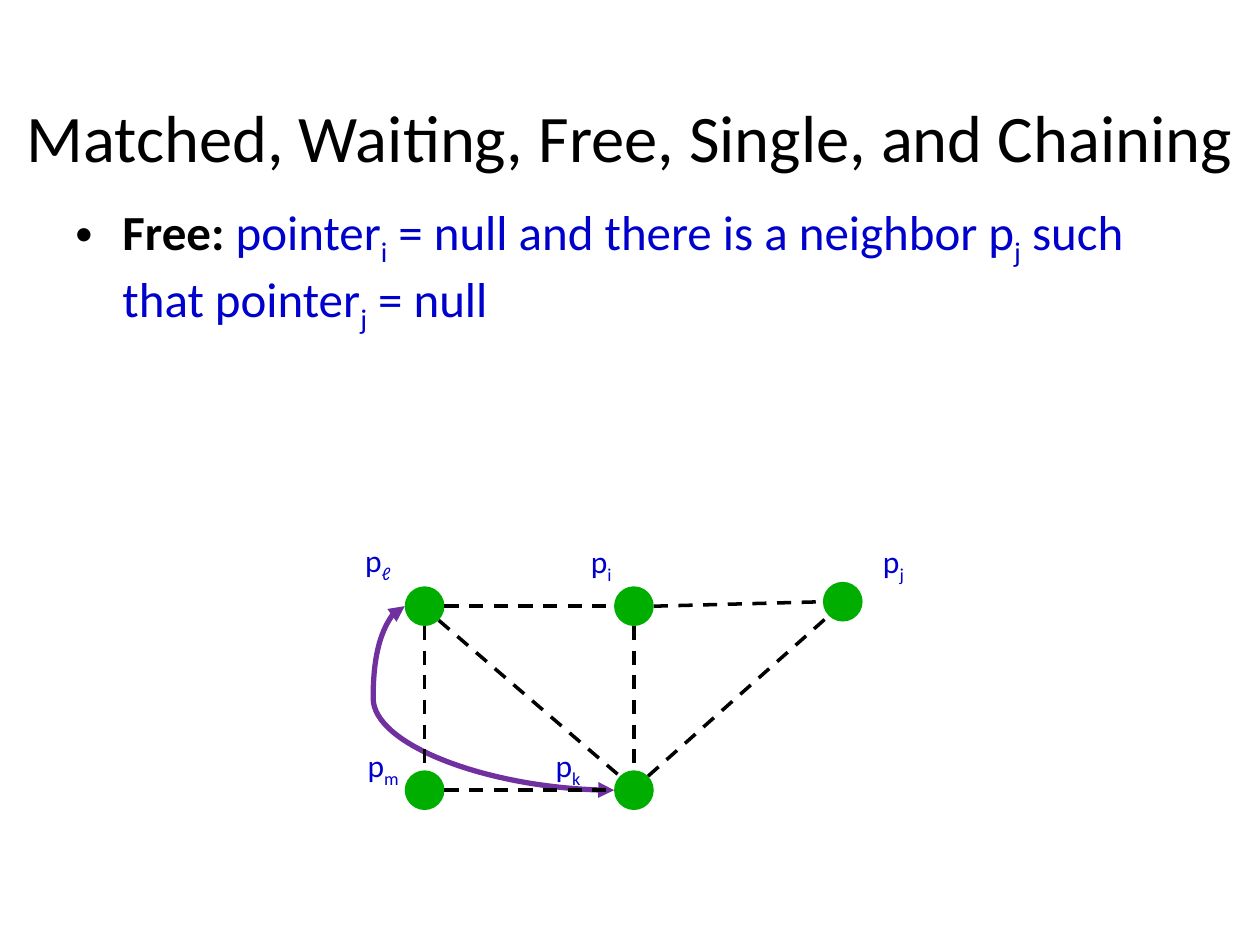
import pptx
import pptx.dml.color
import pptx.enum.dml
import pptx.enum.shapes
import pptx.enum.text
import pptx.oxml
import pptx.oxml.ns
import pptx.util
import lxml.etree

Cm = pptx.util.Cm
RGBColor = pptx.dml.color.RGBColor
Connector = pptx.enum.shapes.MSO_CONNECTOR
qn = pptx.oxml.ns.qn

BLACK = RGBColor(0x00, 0x00, 0x00)
BLUE = RGBColor(0x00, 0x00, 0xCC)
GREEN = RGBColor(0x00, 0xAE, 0x00)
PURPLE = RGBColor(0x70, 0x30, 0xA0)


class SlideBuilder:
    """Hold the style and the current slide, and add each kind of element."""

    font = "Calibri"
    radius = 0.4

    def __init__(self, slide):
        self.slide = slide

    def add_runs(self, paragraph, runs, size):
        for text, color, bold, subscript in runs:
            run = paragraph.add_run()
            run.text = text
            run.font.name = self.font
            run.font.size = pptx.util.Pt(size)
            run.font.bold = bold
            run.font.color.rgb = color
            if subscript:
                run._r.get_or_add_rPr().set("baseline", "-25000")

    def title(self, text, left, top, width, height, size):
        shape = self.slide.shapes.title
        shape.left, shape.top = Cm(left), Cm(top)
        shape.width, shape.height = Cm(width), Cm(height)
        frame = shape.text_frame
        frame.auto_size = pptx.enum.text.MSO_AUTO_SIZE.NONE
        frame.vertical_anchor = pptx.enum.text.MSO_ANCHOR.MIDDLE
        paragraph = frame.paragraphs[0]
        paragraph.alignment = pptx.enum.text.PP_ALIGN.CENTER
        self.add_runs(paragraph, [(text, BLACK, False, False)], size)

    def text(self, runs, left, top, width, height, size, wrap=False):
        shape = self.slide.shapes.add_textbox(Cm(left), Cm(top), Cm(width), Cm(height))
        frame = shape.text_frame
        frame.word_wrap = wrap
        sizes = pptx.enum.text.MSO_AUTO_SIZE
        frame.auto_size = sizes.NONE if wrap else sizes.SHAPE_TO_FIT_TEXT
        self.add_runs(frame.paragraphs[0], runs, size)
        return frame.paragraphs[0]

    def bullet(self, runs, left, top, width, height, size, indent):
        paragraph = self.text(runs, left, top, width, height, size, wrap=True)
        properties = paragraph._p.get_or_add_pPr()
        properties.set("marL", str(Cm(indent)))
        properties.set("indent", str(-Cm(indent)))
        lxml.etree.SubElement(properties, qn("a:buFont")).set("typeface", "Arial")
        lxml.etree.SubElement(properties, qn("a:buChar")).set("char", "•")

    def node(self, center):
        x, y = center
        shape = self.slide.shapes.add_shape(
            pptx.enum.shapes.MSO_SHAPE.OVAL, Cm(x - self.radius), Cm(y - self.radius),
            Cm(2 * self.radius), Cm(2 * self.radius))
        shape.shadow.inherit = False
        shape.fill.solid()
        shape.fill.fore_color.rgb = GREEN
        shape.line.fill.background()

    def connector(self, kind, start, end, color, width):
        shape = self.slide.shapes.add_connector(kind, *map(Cm, start + end))
        shape.line.color.rgb = color
        shape.line.width = pptx.util.Pt(width)
        lxml.etree.SubElement(shape._element.spPr, qn("a:effectLst"))
        return shape

    def edge(self, start, end):
        """Join the rims of two nodes at the nearest eighth of the circle."""
        deltas = [b - a for a, b in zip(start, end)]
        signs = [0 if abs(d) < self.radius else (1 if d > 0 else -1) for d in deltas]
        reach = self.radius * (0.71 if all(signs) else 1)
        rim_start = tuple(a + s * reach for a, s in zip(start, signs))
        rim_end = tuple(b - s * reach for b, s in zip(end, signs))
        shape = self.connector(Connector.STRAIGHT, rim_start, rim_end, BLACK, 2)
        shape.line.dash_style = pptx.enum.dml.MSO_LINE.DASH

    def pointer(self, start, end, bend):
        """Draw a curved double arrow between the left rims of two nodes."""
        rims = [(x - self.radius, y) for x, y in (start, end)]
        shape = self.connector(Connector.CURVE, *rims, PURPLE, 3)
        line = shape.line._get_or_add_ln()
        for name in ("a:headEnd", "a:tailEnd"):
            lxml.etree.SubElement(line, qn(name)).set("type", "triangle")
        adjustments = shape._element.spPr.find(qn("a:prstGeom")).get_or_add_avLst()
        guide = lxml.etree.SubElement(adjustments, qn("a:gd"))
        guide.set("name", "adj1")
        guide.set("fmla", f"val {bend}")


NODES = {
    "i": (12.78, 12.22),
    "j": (16.99, 12.13),
    "ℓ": (8.56, 12.22),
    "k": (12.78, 15.93),
    "m": (8.56, 15.93),
}
LABELS = {
    "i": (11.66, 10.8, 0.94),
    "j": (17.55, 10.8, 0.94),
    "ℓ": (7.11, 10.78, 1.07),
    "k": (10.95, 14.91, 1.04),
    "m": (7.16, 14.91, 1.19),
}
EDGES = ["ij", "ik", "ℓk", "ℓi", "kj", "ℓm", "mk"]
DEFINITION = [
    ("Free:", BLACK, True, False),
    (" pointer", BLUE, False, False),
    ("i", BLUE, False, True),
    (" = null and there is a neighbor p", BLUE, False, False),
    ("j", BLUE, False, True),
    (" such that pointer", BLUE, False, False),
    ("j", BLUE, False, True),
    (" = null", BLUE, False, False),
]

presentation = pptx.Presentation()
presentation.slide_width, presentation.slide_height = Cm(25.4), Cm(19.05)
builder = SlideBuilder(presentation.slides.add_slide(presentation.slide_layouts[5]))

builder.title("Matched, Waiting, Free, Single, and Chaining", 0, 1.14, 25.4, 3.18, 38)
builder.bullet(DEFINITION, 1.27, 3.94, 22.86, 3, 28, 0.95)
builder.pointer(NODES["ℓ"], NODES["k"], -15100)
for center in NODES.values():
    builder.node(center)
for first, second in EDGES:
    builder.edge(NODES[first], NODES[second])
for name, (left, top, width) in LABELS.items():
    label = [("p", BLUE, False, False), (name, BLUE, False, True)]
    builder.text(label, left, top, width, 1.02, 18)

presentation.save("out.pptx")
